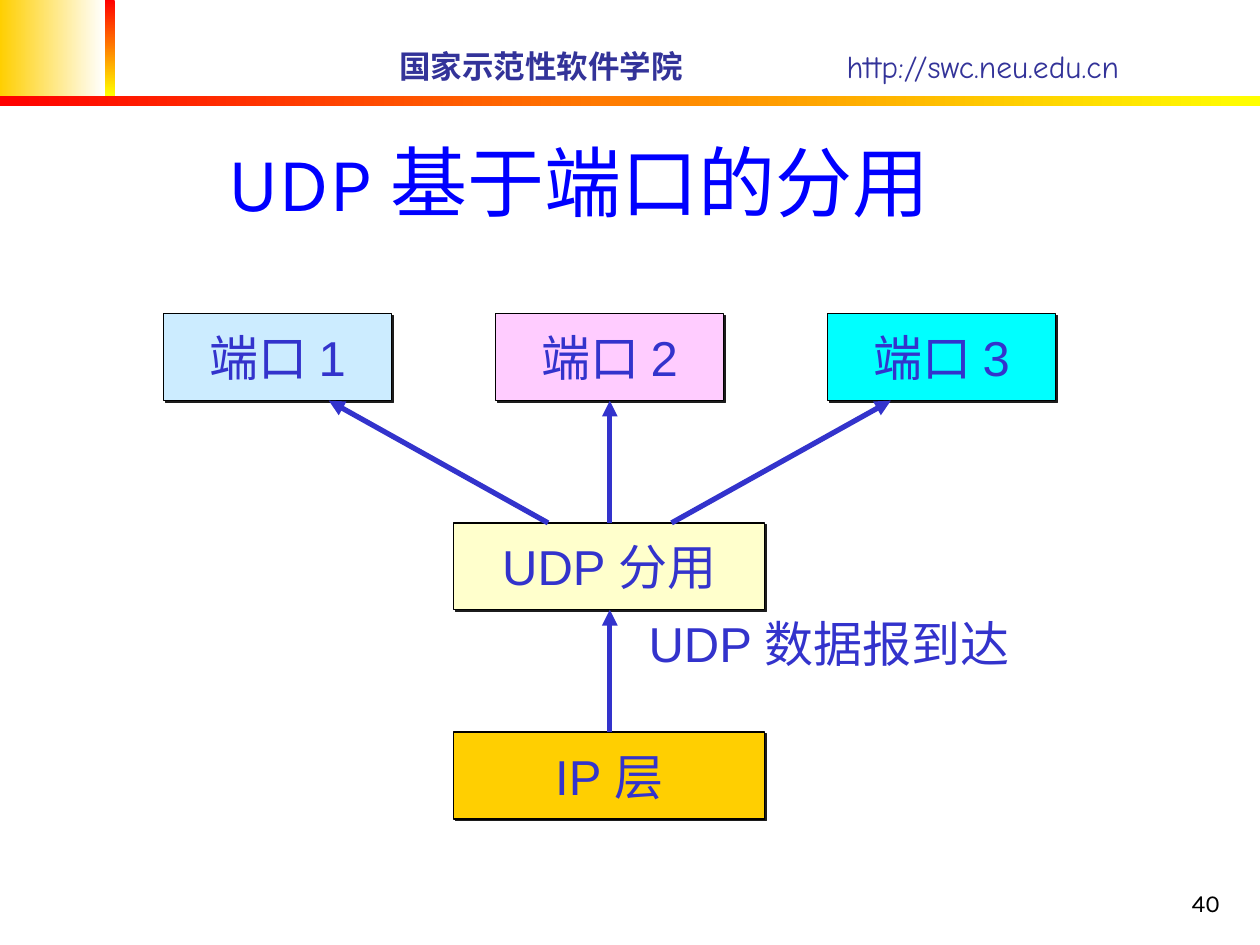
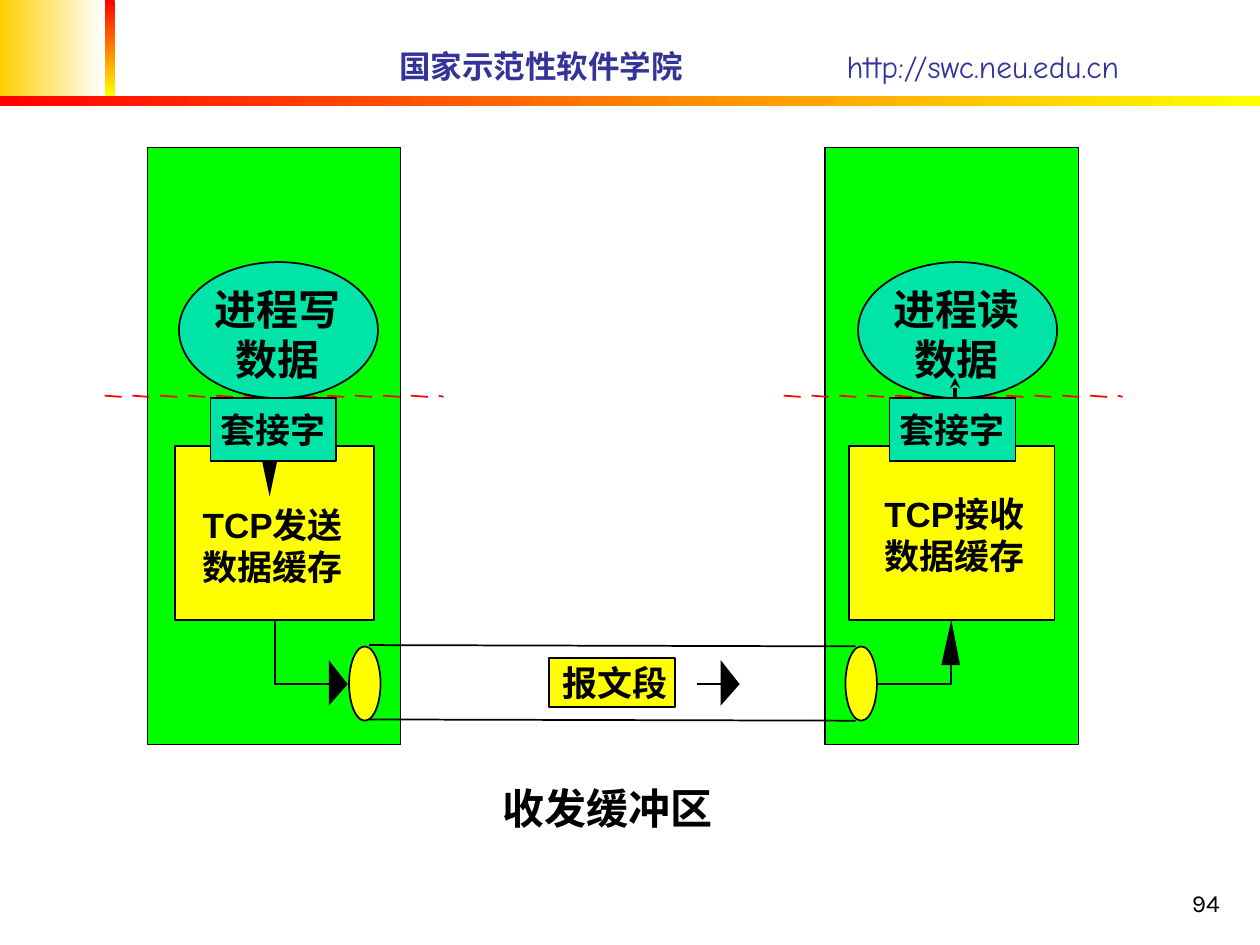
from lxml import etree
from pptx import Presentation
from pptx.dml.color import RGBColor
from pptx.enum.shapes import MSO_CONNECTOR, MSO_SHAPE
from pptx.enum.text import MSO_ANCHOR, PP_ALIGN
from pptx.oxml.ns import qn
from pptx.util import Inches, Pt

RECTANGLE, OVAL = MSO_SHAPE.RECTANGLE, MSO_SHAPE.OVAL
STRAIGHT = MSO_CONNECTOR.STRAIGHT
TOP, MIDDLE, BOTTOM = MSO_ANCHOR.TOP, MSO_ANCHOR.MIDDLE, MSO_ANCHOR.BOTTOM
LEFT, CENTER, RIGHT = PP_ALIGN.LEFT, PP_ALIGN.CENTER, PP_ALIGN.RIGHT

BLACK = RGBColor(0x00, 0x00, 0x00)
WHITE = RGBColor(0xFF, 0xFF, 0xFF)
RED = RGBColor(0xFF, 0x00, 0x00)
YELLOW = RGBColor(0xFF, 0xFF, 0x00)
GOLD = RGBColor(0xFF, 0xCF, 0x01)
CREAM = RGBColor(0xFF, 0xFF, 0xCC)
PINK = RGBColor(0xFF, 0xCC, 0xFF)
CYAN = RGBColor(0x00, 0xFF, 0xFF)
PALE_BLUE = RGBColor(0xCC, 0xEC, 0xFF)
TITLE_BLUE = RGBColor(0x00, 0x00, 0xFF)
HEADER_BLUE = RGBColor(0x33, 0x33, 0x99)
DIAGRAM_BLUE = RGBColor(0x33, 0x33, 0xCC)
GREEN = RGBColor(0x00, 0xFF, 0x00)
TEAL = RGBColor(0x00, 0xE4, 0xA8)

BODY_FONT, HEADER_FONT, TITLE_FONT = "Arial", "Comic Neue", "Karla"
INSETS = (0.1, 0.05)
NO_INSETS = (0, 0)


def write_text(frame, text, size=20, font=BODY_FONT, color=BLACK, bold=False,
               align=CENTER, anchor=TOP, wrap=True, insets=INSETS):
    frame.word_wrap = wrap
    frame.vertical_anchor = anchor
    frame.margin_left = frame.margin_right = Inches(insets[0])
    frame.margin_top = frame.margin_bottom = Inches(insets[1])
    para = frame.paragraphs[0]
    para.alignment = align
    span = para.add_run()
    span.text = text
    span.font.name = font
    span.font.size = Pt(size)
    span.font.bold = bold
    span.font.color.rgb = color


class DeckBuilder:
    def __init__(self):
        self.deck = Presentation()
        self.deck.slide_width = Inches(10)
        self.deck.slide_height = Inches(7.5)
        self.page = None

    def new_page(self, number):
        """Start a slide with the shared header and page number."""
        self.page = self.deck.slides.add_slide(self.deck.slide_layouts[6])
        self.band(0, 0, 0.83, 0.76, GOLD, WHITE)
        self.band(0.83, 0, 0.08, 0.76, RED, YELLOW, angle=270)
        self.band(0, 0.76, 10, 0.08, RED, YELLOW)
        header = dict(size=18, font=HEADER_FONT, color=HEADER_BLUE,
                      align=LEFT, anchor=MIDDLE)
        self.label(3.07, 0.32, 2.9, 0.4, "国家示范性软件学院", bold=True, **header)
        self.label(6.62, 0.32, 3.15, 0.4, "http://swc.neu.edu.cn", **header)
        self.label(7.7, 6.83, 2.08, 0.5, number, size=14, font=TITLE_FONT,
                   align=RIGHT, anchor=BOTTOM)

    def label(self, left, top, width, height, text, **text_format):
        box = self.page.shapes.add_textbox(
            Inches(left), Inches(top), Inches(width), Inches(height))
        write_text(box.text_frame, text, **text_format)

    def shape(self, kind, left, top, width, height, fill=None, line=None):
        shape = self.page.shapes.add_shape(
            kind, Inches(left), Inches(top), Inches(width), Inches(height))
        return self.paint(shape, fill, line)

    def paint(self, shape, fill=None, line=None):
        """Set fill colour and outline width; None leaves either off."""
        shape.shadow.inherit = False
        if fill is None:
            shape.fill.background()
        else:
            shape.fill.solid()
            shape.fill.fore_color.rgb = fill
        if line is None:
            shape.line.fill.background()
        else:
            shape.line.color.rgb = BLACK
            shape.line.width = Pt(line)
        return shape

    def band(self, left, top, width, height, start, end, angle=0):
        band = self.shape(RECTANGLE, left, top, width, height)
        band.fill.gradient()
        band.fill.gradient_angle = angle
        for stop, color in zip(band.fill.gradient_stops, (start, end)):
            stop.color.rgb = color

    def shadow_box(self, left, top, width, text, fill):
        box = self.shape(RECTANGLE, left, top, width, 0.69, fill, 0.75)
        effects = box._element.spPr.find(qn("a:effectLst"))
        shadow = etree.SubElement(effects, qn("a:outerShdw"), dist=str(Pt(1.4)),
                                  dir="2700000", algn="ctr", rotWithShape="0")
        etree.SubElement(shadow, qn("a:srgbClr"), val="1C1C1C")
        write_text(box.text_frame, text, size=28, color=DIAGRAM_BLUE,
                   anchor=MIDDLE, wrap=False)

    def line(self, start, end, color=BLACK, width=1, arrow=None):
        points = [Inches(value) for value in (*start, *end)]
        connector = self.page.shapes.add_connector(STRAIGHT, *points)
        connector.line.color.rgb = color
        connector.line.width = Pt(width)
        if arrow:
            etree.SubElement(connector.line._get_or_add_ln(), qn("a:tailEnd"),
                             type=arrow)
        etree.SubElement(connector._element.spPr, qn("a:effectLst"))

    def outline(self, points, fill=None, line=None, close=False):
        start, *others = [(Inches(x), Inches(y)) for x, y in points]
        builder = self.page.shapes.build_freeform(*start)
        builder.add_line_segments(others, close=close)
        self.paint(builder.convert_to_shape(), fill, line)

    def arrowhead(self, *corners):
        self.outline(corners, fill=BLACK, close=True)


def draw_port_slide(show):
    show.new_page("40")
    show.label(0.17, 0.25, 8.85, 1.6, "UDP 基于端口的分用", size=44,
               font=TITLE_FONT, color=TITLE_BLUE, anchor=BOTTOM)

    # Layers and ports
    middle = 4.84
    port_top, demux_top, ip_top = 2.49, 4.15, 5.81
    port_bottom, demux_bottom = port_top + 0.69, demux_top + 0.69
    show.shadow_box(3.6, ip_top, 2.47, "IP 层", GOLD)
    show.shadow_box(3.6, demux_top, 2.47, "UDP 分用", CREAM)
    for index, fill in enumerate((PALE_BLUE, PINK, CYAN)):
        show.shadow_box(1.3 + 2.635 * index, port_top, 1.81,
                        f"端口 {index + 1}", fill)
    show.label(5.05, 4.82, 3.16, 0.57, "UDP 数据报到达", size=28,
               color=DIAGRAM_BLUE, align=LEFT, wrap=False)

    # Arrows upwards
    arrows = [((middle, ip_top), (middle, demux_bottom))]
    for side in (-1, 0, 1):
        arrows.append(((middle + 0.49 * side, demux_top),
                       (middle + 2.23 * side, port_bottom)))
    for start, end in arrows:
        show.line(start, end, DIAGRAM_BLUE, 3, "triangle")


def draw_host(show, panel_left, buffer_left, buffer_width):
    show.shape(RECTANGLE, panel_left, 1.17, 2.01, 4.74, GREEN, 1)
    show.shape(RECTANGLE, buffer_left, 3.54, buffer_width, 1.38, YELLOW, 1)


def draw_process(show, left, text):
    """Draw the dashed boundary, the process and its socket."""
    boundary_end = left + 2.69
    for index in range(13):
        dash = left + 0.221 * index
        show.line((dash, 3.14), (min(dash + 0.135, boundary_end), 3.15), RED)
    show.shape(OVAL, left + 0.59, 2.08, 1.58, 1.08, TEAL, 1)
    show.label(left + 0.83, 2.25, 1.08, 0.8, text, size=24, bold=True,
               insets=NO_INSETS)
    socket = show.shape(RECTANGLE, left + 0.84, 3.16, 1, 0.5, TEAL, 1)
    write_text(socket.text_frame, "套接字", font=HEADER_FONT, bold=True,
               anchor=MIDDLE, wrap=False)


def draw_buffer_slide(show):
    show.new_page("94")
    tight = dict(bold=True, insets=NO_INSETS)

    # Hosts with their buffers
    draw_host(show, 1.17, 1.39, 1.58)
    draw_host(show, 6.55, 6.74, 1.63)
    show.label(1.5, 4, 1.33, 0.67, "TCP发送数据缓存", **tight)
    show.label(6.91, 3.91, 1.33, 0.67, "TCP接收数据缓存", **tight)

    # Pipe and segment
    flow = 5.43
    for left in (2.77, 6.71):
        show.shape(OVAL, left, 5.13, 0.25, 0.59, YELLOW, 1)
    for top in (5.12, 5.71):
        show.line((2.93, top), (6.79, top + 0.01))
    show.shape(RECTANGLE, 4.36, 5.22, 1, 0.39, YELLOW, 1)
    show.label(4.46, 5.25, 0.84, 0.33, "报文段", wrap=False, **tight)

    # Flow arrows
    show.line((5.53, flow), (5.74, flow))
    show.outline([(2.18, 4.92), (2.18, flow), (2.63, flow)], line=1)
    show.outline([(6.96, flow), (7.55, flow), (7.55, 5.24)], line=1)
    for left in (2.61, 5.72):
        show.arrowhead((left, 5.24), (left + 0.15, flow), (left, 5.6))
    show.arrowhead((7.47, 5.28), (7.55, 4.92), (7.62, 5.28))
    show.arrowhead((2.08, 3.66), (2.2, 3.66), (2.14, 3.94))

    # Processes and caption
    draw_process(show, 0.83, "进程写数据")
    draw_process(show, 6.22, "进程读数据")
    show.line((7.58, 3.16), (7.58, 3), width=2, arrow="stealth")
    show.label(3.41, 6.16, 2.83, 0.5, "收发缓冲区", size=24,
               font=HEADER_FONT, bold=True)


def main():
    show = DeckBuilder()
    draw_port_slide(show)
    draw_buffer_slide(show)
    show.deck.save("out.pptx")


if __name__ == "__main__":
    main()
